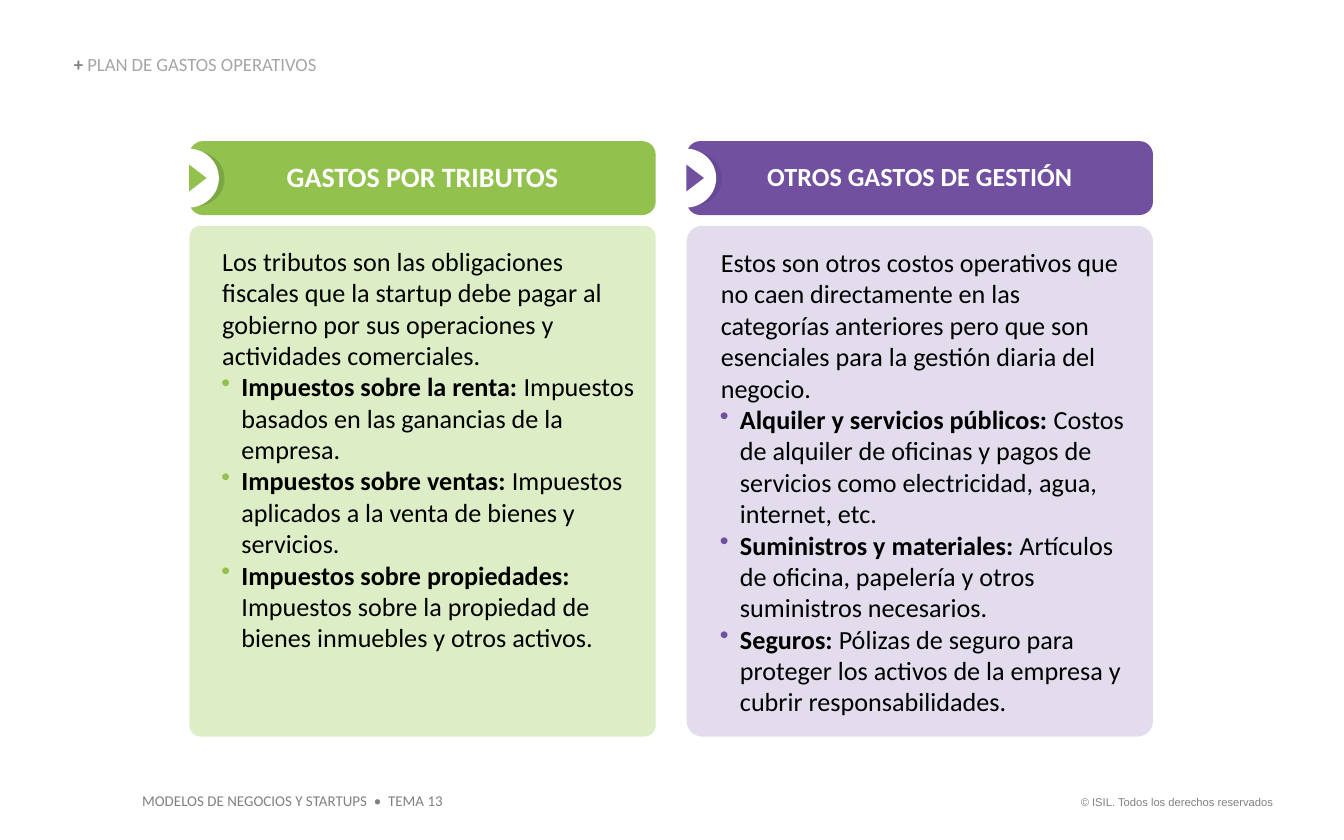
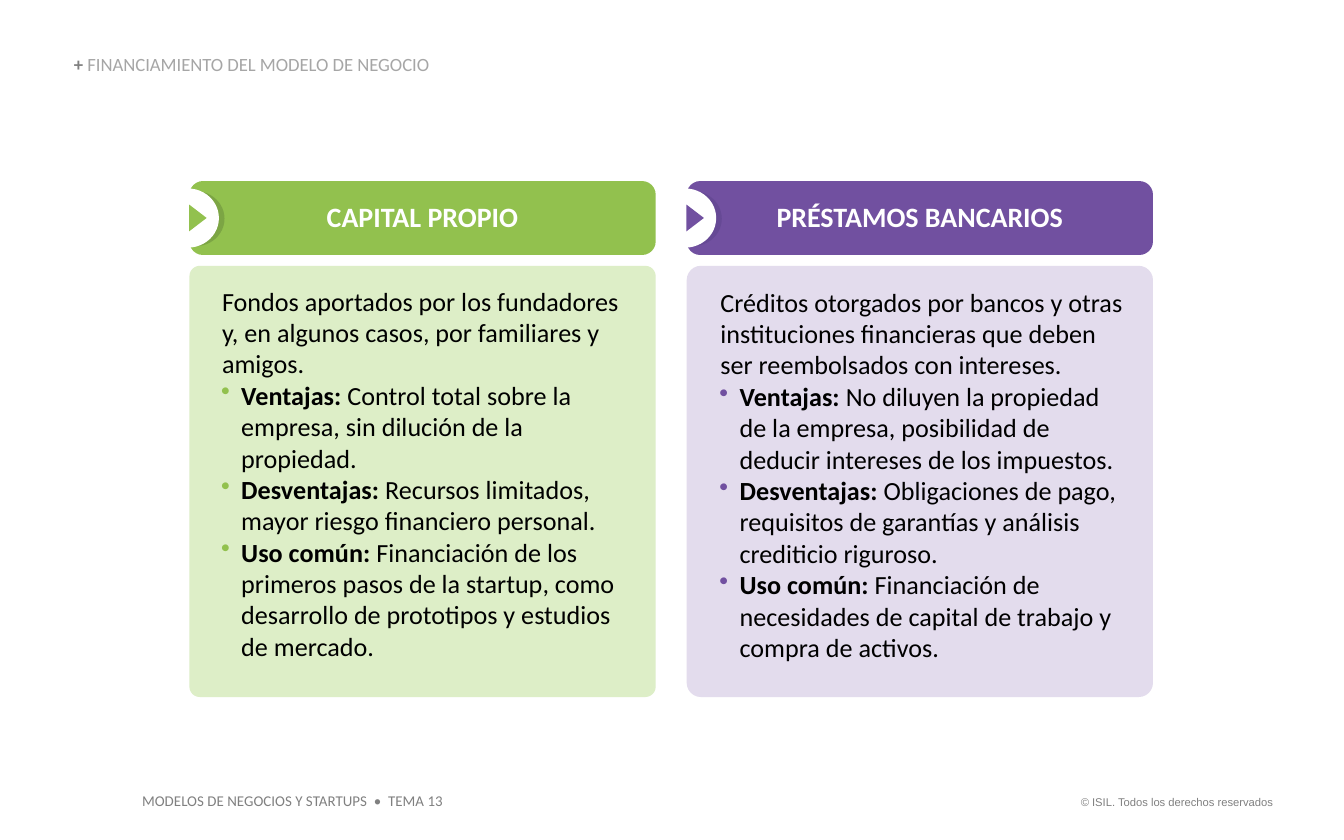
from dataclasses import dataclass

from lxml.etree import SubElement
from pptx import Presentation
from pptx.dml.color import RGBColor
from pptx.enum.shapes import MSO_SHAPE as SHAPE
from pptx.enum.text import MSO_ANCHOR as ANCHOR, MSO_AUTO_SIZE as FIT, PP_ALIGN as ALIGN
from pptx.oxml.ns import qn
from pptx.shapes.autoshape import Shape
from pptx.slide import Slide
from pptx.text.text import TextFrame, _Paragraph as Paragraph
from pptx.util import Pt

GREEN = RGBColor(0x92, 0xC1, 0x4E)
GREEN_DARK = RGBColor(0x7C, 0xA5, 0x44)
GREEN_LIGHT = RGBColor(0xDD, 0xEE, 0xC7)
PURPLE = RGBColor(0x71, 0x50, 0xA0)
PURPLE_DARK = RGBColor(0x66, 0x49, 0x95)
PURPLE_LIGHT = RGBColor(0xE3, 0xDC, 0xED)
WHITE = RGBColor(0xFF, 0xFF, 0xFF)
BLACK = RGBColor(0, 0, 0)
GRAY = RGBColor(0x80, 0x80, 0x80)
GRAY_LIGHT = RGBColor(0xA6, 0xA6, 0xA6)

CARD_LEFT, CARD_STEP, CARD_W = 101.5, 266.4, 249.8
BAR_H, PANEL_OFFSET = 39.6, 45.4


@dataclass(frozen=True)
class Theme:
    """Colours and panel rounding of one column."""
    main: RGBColor
    dark: RGBColor
    light: RGBColor
    rounding: float


@dataclass(frozen=True)
class Card:
    """Heading, introduction and labelled bullets of one column."""
    heading: str
    intro: str
    bullets: tuple[tuple[str, str], ...]
    heading_size: int = 15


@dataclass(frozen=True)
class Page:
    """Title, vertical layout and cards of one slide."""
    title: str
    top: float
    panel_height: float
    cards: tuple[Card, Card]


THEMES = (Theme(GREEN, GREEN_DARK, GREEN_LIGHT, 0.024),
          Theme(PURPLE, PURPLE_DARK, PURPLE_LIGHT, 0.033))

PAGES = (
    Page("PLAN DE GASTOS OPERATIVOS", 75.6, 273.6, (
        Card("GASTOS POR TRIBUTOS",
             "Los tributos son las obligaciones fiscales que la startup debe pagar al gobierno "
             "por sus operaciones y actividades comerciales.",
             (("Impuestos sobre la renta: ", "Impuestos basados en las ganancias de la empresa."),
              ("Impuestos sobre ventas: ",
               "Impuestos aplicados a la venta de bienes y servicios."),
              ("Impuestos sobre propiedades: ",
               "Impuestos sobre la propiedad de bienes inmuebles y otros activos."))),
        Card("OTROS GASTOS DE GESTIÓN",
             "Estos son otros costos operativos que no caen directamente en las categorías "
             "anteriores pero que son esenciales para la gestión diaria del negocio.",
             (("Alquiler y servicios públicos: ",
               "Costos de alquiler de oficinas y pagos de servicios como electricidad, agua, "
               "internet, etc."),
              ("Suministros y materiales: ",
               "Artículos de oficina, papelería y otros suministros necesarios."),
              ("Seguros: ",
               "Pólizas de seguro para proteger los activos de la empresa y cubrir "
               "responsabilidades.")), 14))),
    Page("FINANCIAMIENTO DEL MODELO DE NEGOCIO", 97, 231, (
        Card("CAPITAL PROPIO",
             "Fondos aportados por los fundadores y, en algunos casos, por familiares y amigos.",
             (("Ventajas: ", "Control total sobre la empresa, sin dilución de la propiedad."),
              ("Desventajas: ", "Recursos limitados, mayor riesgo financiero personal."),
              ("Uso común: ",
               "Financiación de los primeros pasos de la startup, como desarrollo de prototipos "
               "y estudios de mercado."))),
        Card("PRÉSTAMOS BANCARIOS",
             "Créditos otorgados por bancos y otras instituciones financieras que deben ser "
             "reembolsados con intereses.",
             (("Ventajas: ",
               "No diluyen la propiedad de la empresa, posibilidad de deducir intereses de los "
               "impuestos."),
              ("Desventajas: ",
               "Obligaciones de pago, requisitos de garantías y análisis crediticio riguroso."),
              ("Uso común: ",
               "Financiación de necesidades de capital de trabajo y compra de activos."))))),
)


def add_run(p: Paragraph, text: str, size: float, color: RGBColor,
            bold: bool = False, font: str = "Calibri") -> None:
    """Append one formatted run to a paragraph."""
    r = p.add_run()
    r.text = text
    r.font.name, r.font.size, r.font.bold = font, Pt(size), bold
    r.font.color.rgb = color


def set_insets(tf: TextFrame, left: float, top: float, right: float, bottom: float) -> None:
    """Set the four inner margins of a text frame."""
    tf.margin_left, tf.margin_top = Pt(left), Pt(top)
    tf.margin_right, tf.margin_bottom = Pt(right), Pt(bottom)


def add_filled(s: Slide, kind: SHAPE, left: float, top: float, width: float, height: float,
               color: RGBColor) -> Shape:
    """Add a flat shape without outline."""
    sp = s.shapes.add_shape(kind, Pt(left), Pt(top), Pt(width), Pt(height))
    sp.shadow.inherit = False
    sp.fill.solid()
    sp.fill.fore_color.rgb = color
    sp.line.fill.background()
    return sp


def add_text(s: Slide, left: float, top: float, width: float, height: float,
             wrap: bool = False) -> TextFrame:
    """Add a text box that grows with its text."""
    tf = s.shapes.add_textbox(Pt(left), Pt(top), Pt(width), Pt(height)).text_frame
    tf.word_wrap, tf.auto_size = wrap, FIT.SHAPE_TO_FIT_TEXT
    return tf


def indent(p: Paragraph, left: float, first: float, bullet: RGBColor | None = None) -> None:
    """Indent a second-level paragraph and give it an optional coloured bullet."""
    p.alignment, p.level = ALIGN.LEFT, 1
    pPr = p._p.get_or_add_pPr()
    pPr.set("marL", str(Pt(left)))
    pPr.set("indent", str(Pt(first)))
    if bullet is None:
        SubElement(pPr, qn("a:buNone"))
    else:
        SubElement(SubElement(pPr, qn("a:buClr")), qn("a:srgbClr"), val=str(bullet))
        SubElement(pPr, qn("a:buChar"), char="•")


def draw_frame(s: Slide, title: str) -> None:
    """Draw the footers and the title that every slide carries."""
    p = add_text(s, 567.4, 422.6, 121.7, 14.4).paragraphs[0]
    p.alignment = ALIGN.RIGHT
    add_run(p, "© ISIL. Todos los derechos reservados", 6, GRAY, font="Arial")
    p = add_text(s, 69, 420.5, 176.4, 17.3).paragraphs[0]
    add_run(p, "MODELOS DE NEGOCIOS Y STARTUPS  •  TEMA 13", 8, GRAY)
    tf = add_text(s, 39.6, 29.5, 306, 10.8, wrap=True)
    tf.vertical_anchor = ANCHOR.BOTTOM
    set_insets(tf, 0, 0, 0, 0)
    p = tf.paragraphs[0]
    p.line_spacing = 0.9
    add_run(p, "+ ", 10, GRAY, bold=True)
    add_run(p, title, 10, GRAY_LIGHT)


def draw_card(s: Slide, card: Card, theme: Theme, left: float, page: Page) -> None:
    """Draw one column: heading bar, text panel and arrow badge."""
    top = page.top
    bar = add_filled(s, SHAPE.ROUNDED_RECTANGLE, left, top, CARD_W, BAR_H, theme.main)
    bar.adjustments[0] = 0.183
    tf = bar.text_frame
    tf.word_wrap, tf.vertical_anchor = True, ANCHOR.MIDDLE
    p = tf.paragraphs[0]
    p.alignment, p.line_spacing = ALIGN.CENTER, 0.9
    add_run(p, card.heading, card.heading_size, WHITE, bold=True)

    panel = add_filled(s, SHAPE.ROUNDED_RECTANGLE, left, top + PANEL_OFFSET, CARD_W,
                       page.panel_height, theme.light)
    panel.adjustments[0] = theme.rounding
    tf = panel.text_frame
    tf.word_wrap, tf.vertical_anchor = True, ANCHOR.TOP
    set_insets(tf, 8.64, 8.64, 8.64, 3.6)
    p = tf.paragraphs[0]
    indent(p, 7.2, 0)
    add_run(p, card.intro, 14, BLACK)
    for label, text in card.bullets:
        p = tf.add_paragraph()
        indent(p, 17.5, -10.8, theme.main)
        add_run(p, label, 14, BLACK, bold=True)
        add_run(p, text, 14, BLACK)

    add_filled(s, SHAPE.OVAL, left - 12.2, top + 5.4, 31, 29.5, theme.dark)
    add_filled(s, SHAPE.OVAL, left - 17.3, top + 4, 33.1, 31.7, WHITE)
    arrow = add_filled(s, SHAPE.ISOSCELES_TRIANGLE, left - 2.7, top + 15.1, 14.4, 9.4, theme.main)
    arrow.rotation = 90


def main() -> None:
    """Build the presentation."""
    prs = Presentation()
    prs.slide_width, prs.slide_height = Pt(720), Pt(450)
    for page in PAGES:
        s = prs.slides.add_slide(prs.slide_layouts[6])
        draw_frame(s, page.title)
        for i, (card, theme) in reversed(list(enumerate(zip(page.cards, THEMES)))):
            draw_card(s, card, theme, CARD_LEFT + i * CARD_STEP, page)
    prs.save("out.pptx")


if __name__ == "__main__":
    main()
